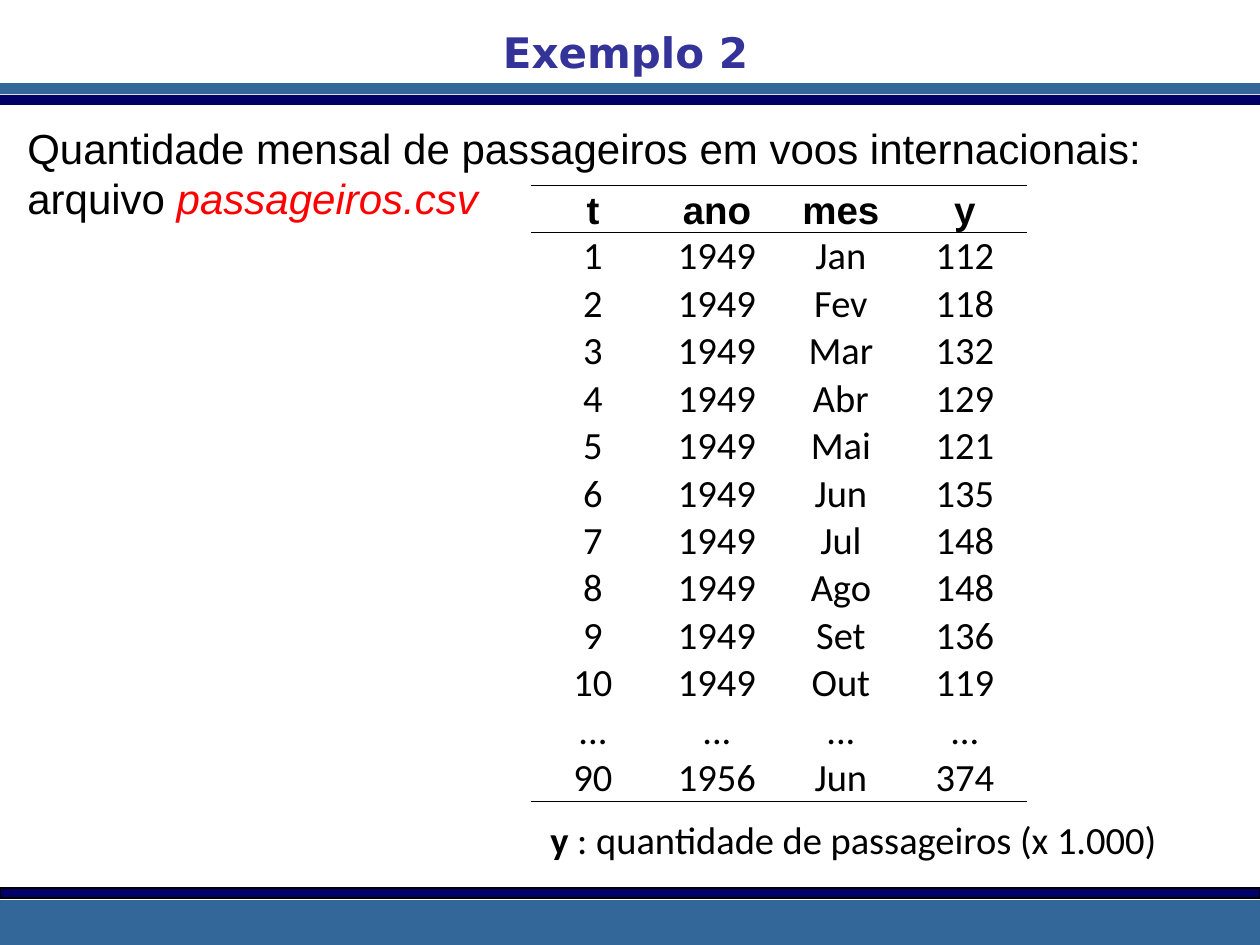
from dataclasses import dataclass

from lxml.etree import SubElement
from pptx import Presentation
from pptx.dml.color import RGBColor as RGB
from pptx.enum.shapes import MSO_SHAPE as Shape
from pptx.enum.text import MSO_ANCHOR as Anchor, MSO_AUTO_SIZE as Fit, PP_ALIGN as Align
from pptx.oxml.ns import qn
from pptx.util import Pt


@dataclass(frozen=True)
class Theme:
    """Colours, fonts and type sizes."""
    blue: str = "336699"
    navy: str = "000066"
    title: str = "333399"
    ink: str = "000000"
    red: str = "FF0000"
    white: str = "FFFFFF"
    head: str = "DejaVu Sans"
    sans: str = "Arial"
    body: str = "Calibri"
    big: int = 24
    mid: int = 22
    rule: float = 0.5
    edge: float = 0.75


T = Theme()
HEADS = ("t", "ano", "mes", "y")
MONTHS = ("Jan", "Fev", "Mar", "Abr", "Mai", "Jun", "Jul", "Ago", "Set", "Out")
COUNTS = (112, 118, 132, 129, 121, 135, 148, 148, 136, 119)
ROWS = [
    HEADS,
    *((i, 1949, m, y) for i, (m, y) in enumerate(zip(MONTHS, COUNTS), 1)),
    ("...",) * 4,
    (90, 1956, "Jun", 374),
]


def px(n):
    """Turn pixels into EMU."""
    return round(n * 914400 / 126)


def place(box):
    """Turn a pixel box into EMU lengths."""
    return [px(n) for n in box]


def add_run(para, text, font, size, color=T.ink, bold=False, italic=False):
    """Add one formatted run to a paragraph."""
    run = para.add_run()
    run.text = text
    run.font.name, run.font.size = font, Pt(size)
    run.font.bold, run.font.italic = bold, italic
    run.font.color.rgb = RGB.from_string(color)


def add_bar(slide, box, fill, line=None):
    """Draw a flat rectangle."""
    bar = slide.shapes.add_shape(Shape.RECTANGLE, *place(box))
    bar.shadow.inherit = False
    bar.fill.solid()
    bar.fill.fore_color.rgb = RGB.from_string(fill)
    if line:
        bar.line.color.rgb = RGB.from_string(line)
        bar.line.width = Pt(T.edge)
    else:
        bar.line.fill.background()


def add_bands(slide, box):
    """Draw the header and footer bands of a page."""
    x, y, w, h = box
    add_bar(slide, (x, y + 84, w, 10), T.blue, T.blue)
    add_bar(slide, (x, y + 95, w, 21), T.white, T.white)
    add_bar(slide, (x, y + 95, w + 4, 10), T.navy)
    add_bar(slide, (x, y + h - 45, w, 45), T.blue)
    add_bar(slide, (x, y + h - 57, w, 10), T.navy, T.ink)


def add_title(slide, box, text):
    """Fill and place the title."""
    shape = slide.shapes.title
    shape.left, shape.top, shape.width, shape.height = place(box)
    frame = shape.text_frame
    frame.word_wrap, frame.auto_size = False, Fit.SHAPE_TO_FIT_TEXT
    frame.vertical_anchor = Anchor.TOP
    para = frame.paragraphs[0]
    para.alignment = Align.CENTER
    para.line_spacing = 1.0
    add_run(para, text, T.head, T.big, T.title, bold=True)


def add_text(slide, box, wrap):
    """Add a text box and return its paragraph."""
    frame = slide.shapes.add_textbox(*place(box)).text_frame
    frame.word_wrap, frame.auto_size = wrap, Fit.SHAPE_TO_FIT_TEXT
    return frame.paragraphs[0]


def add_rule(cell, tag, shown):
    """Set one border of a cell."""
    line = SubElement(cell._tc.get_or_add_tcPr(), qn(tag), w=str(Pt(T.rule)))
    if shown:
        fill = SubElement(line, qn("a:solidFill"))
        SubElement(fill, qn("a:srgbClr"), val=T.ink)
    else:
        SubElement(line, qn("a:noFill"))


def fill_cell(cell, text, head, top, base):
    """Write and format one table cell."""
    cell.margin_left = cell.margin_right = cell.margin_top = px(1)
    cell.margin_bottom = 0
    cell.vertical_anchor = Anchor.BOTTOM
    rules = {"a:lnL": False, "a:lnR": False, "a:lnT": top, "a:lnB": base}
    for tag, shown in rules.items():
        add_rule(cell, tag, shown)
    cell.fill.background()
    para = cell.text_frame.paragraphs[0]
    para.alignment = Align.CENTER
    add_run(para, str(text), T.sans if head else T.body, T.mid, bold=head)


def add_grid(slide, box, rows):
    """Draw the data table with rules around the head and at the end."""
    grid = slide.shapes.add_table(len(rows), len(rows[0]), *place(box)).table
    grid.first_row = grid.horz_banding = False
    style = grid._tbl.tblPr.find(qn("a:tableStyleId"))
    style.text = "{2D5ABB26-0587-4C30-8999-92F81FD0307C}"
    for r, row in enumerate(rows):
        for c, text in enumerate(row):
            last = r == len(rows) - 1
            fill_cell(grid.cell(r, c), text, r == 0, r < 2, r == 0 or last)


def build_slide(deck, box):
    """Build the passenger data slide."""
    x, y, w, h = box
    slide = deck.slides.add_slide(deck.slide_layouts[5])
    add_bands(slide, box)
    add_title(slide, (x + 489, y + 20, 273, 63), "Exemplo 2")
    intro = add_text(slide, (x + 15, y + 116, 1171, 115), True)
    lead = "Quantidade mensal de passageiros em voos internacionais: arquivo "
    add_run(intro, lead, T.sans, T.big)
    add_run(intro, "passageiros.csv", T.sans, T.big, T.red, italic=True)
    note = add_text(slide, (x + 538, y + 810, 638, 59), False)
    add_run(note, "y", T.body, T.mid, bold=True)
    add_run(note, " : quantidade de passageiros (x 1.000)", T.body, T.mid)
    add_grid(slide, (x + 531, y + 185, 496, 617), ROWS)


def main():
    """Create and save the deck."""
    deck = Presentation()
    deck.slide_width, deck.slide_height = px(1260), px(945)
    build_slide(deck, (0, 0, 1260, 945))
    deck.save("out.pptx")


if __name__ == "__main__":
    main()
